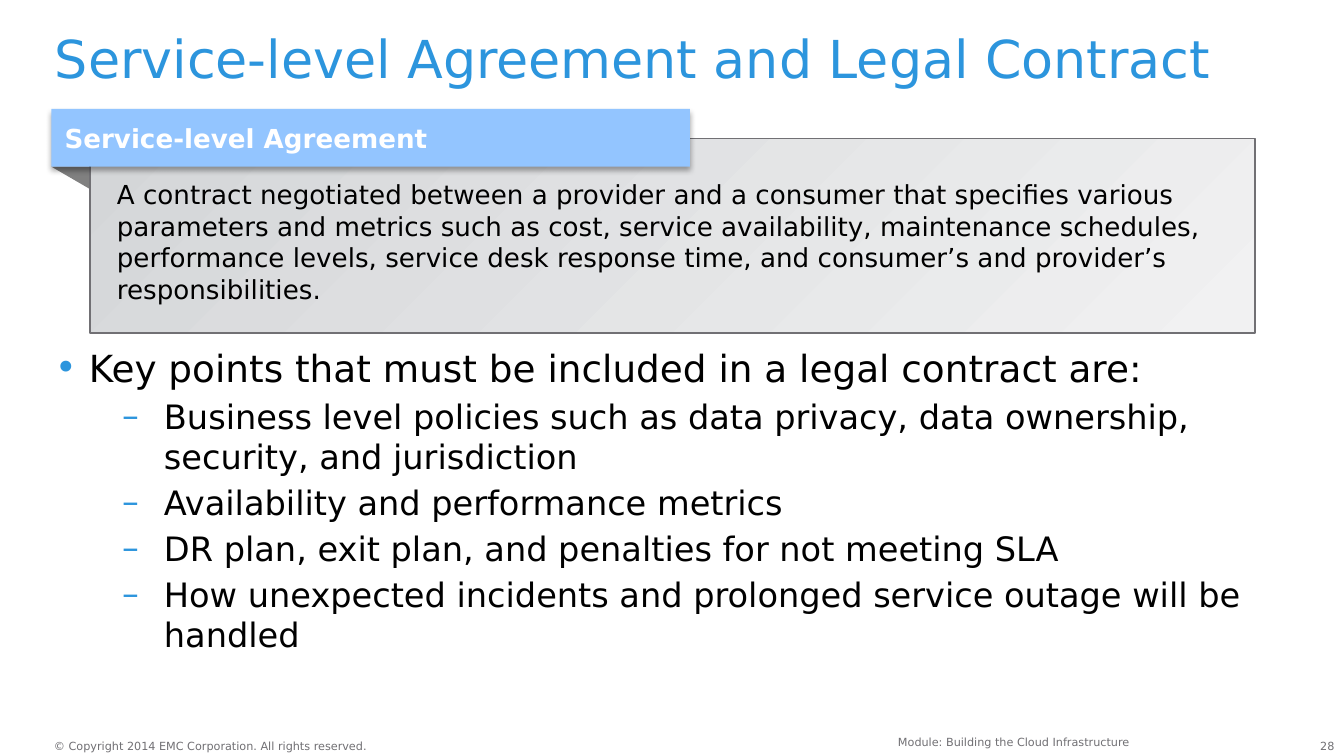
from lxml import etree
from pptx import Presentation
from pptx import util as u
from pptx.dml import color
from pptx.enum import shapes, text
from pptx.oxml import ns

FONT = "DejaVu Sans"
COLORS = {
    "blue": "2C95DD", "label": "93C5FF", "grey": "717074", "fold": "808080",
    "black": "000000", "white": "FFFFFF", "dark_end": "D4D6D8", "light_end": "F1F1F2",
}
KEY_POINTS = [
    "Business level policies such as data privacy, data ownership, security, and jurisdiction",
    "Availability and performance metrics",
    "DR plan, exit plan, and penalties for not meeting SLA",
    "How unexpected incidents and prolonged service outage will be handled",
]
DEFINITION = (
    "A contract negotiated between a provider and a consumer that specifies various "
    "parameters and metrics such as cost, service availability, maintenance schedules, "
    "performance levels, service desk response time, and consumer’s and provider’s "
    "responsibilities."
)


def rgb(name):
    return color.RGBColor.from_string(COLORS[name])


def add_element(parent, tag, **attributes):
    return etree.SubElement(parent, ns.qn(tag), attributes)


def style(para, size, tint, bold=False):
    para.font.name = FONT
    para.font.size = u.Pt(size)
    para.font.bold = bold
    para.font.color.rgb = rgb(tint)


def set_frame(shape, margins=(0, 0, 0, 0), anchor=text.MSO_ANCHOR.TOP):
    frame = shape.text_frame
    frame.word_wrap = True
    frame.vertical_anchor = anchor
    (frame.margin_left, frame.margin_top,
     frame.margin_right, frame.margin_bottom) = [u.Cm(m) for m in margins]
    return frame


def add_box(page, place, margins=(0, 0, 0, 0)):
    return set_frame(page.shapes.add_textbox(*[u.Cm(v) for v in place]), margins)


def add_line(page, place, words, size, tint, align=text.PP_ALIGN.LEFT, margins=(0, 0, 0, 0)):
    para = add_box(page, place, margins).paragraphs[0]
    para.text = words
    para.alignment = align
    style(para, size, tint)
    return para


def add_panel(page, place, words, size, tint, margins, anchor, bold=False):
    panel = page.shapes.add_shape(shapes.MSO_SHAPE.RECTANGLE, *[u.Cm(v) for v in place])
    panel.shadow.inherit = False
    para = set_frame(panel, margins, anchor).paragraphs[0]
    para.text = words
    para.alignment = text.PP_ALIGN.LEFT
    style(para, size, tint, bold)
    return panel


def add_fold(page, left, top, width, height):
    builder = page.shapes.build_freeform(u.Cm(left), u.Cm(top))
    builder.add_line_segments(
        [(u.Cm(left + width), u.Cm(top)), (u.Cm(left + width), u.Cm(top + height))])
    fold = builder.convert_to_shape()
    fold.shadow.inherit = False
    fold.fill.solid()
    fold.fill.fore_color.rgb = rgb("fold")
    fold.line.fill.background()


def add_drop_shadow(shape):
    effects = shape._element.spPr.find(ns.qn("a:effectLst"))
    shadow = add_element(effects, "a:outerShdw", blurRad=str(u.Pt(3.1)),
                         dist=str(u.Pt(1.8)), dir="5400000", rotWithShape="0")
    tint = add_element(shadow, "a:srgbClr", val=COLORS["black"])
    add_element(tint, "a:alpha", val="35000")


def add_bullet(para, words, mark, size, left, hanging, before=0):
    para.text = words
    props = para._p.get_or_add_pPr()
    props.set("marL", str(u.Cm(left)))
    props.set("indent", str(-u.Cm(hanging)))
    tint = add_element(props, "a:buClr")
    add_element(tint, "a:srgbClr", val=COLORS["blue"])
    add_element(props, "a:buFont", typeface=FONT)
    add_element(props, "a:buChar", char=mark)
    para.space_before = u.Pt(before)
    style(para, size, "black")


def main():
    deck = Presentation()
    deck.slide_width, deck.slide_height = u.Cm(25.4), u.Cm(14.29)
    page = deck.slides.add_slide(deck.slide_layouts[6])

    # Footer
    right = text.PP_ALIGN.RIGHT
    add_line(page, (24.43, 13.97, 0.79, 0.25), "28", 6, "grey", right)
    add_line(page, (1.02, 13.97, 6.4, 0.25),
             "© Copyright 2014 EMC Corporation. All rights reserved.", 6, "grey")
    add_line(page, (7.19, 13.77, 14.4, 0.38), "Module: Building the Cloud Infrastructure",
             6, "grey", right, (0.25, 0.13, 0.25, 0.13))

    # Title
    title = add_line(page, (1.04, 0.64, 23.5, 1.27),
                     "Service-level Agreement and Legal Contract", 28, "blue")
    title.line_spacing = 0.9

    # Key points
    frame = add_box(page, (1.04, 6.53, 23.5, 5.77))
    add_bullet(frame.paragraphs[0], "Key points that must be included in a legal contract are:",
               "•", 20, 0.64, 0.64)
    for point in KEY_POINTS:
        para = frame.add_paragraph()
        para.level = 1
        add_bullet(para, point, "–", 18, 2.06, 0.79, 3)

    # Definition panel with its folded label
    add_fold(page, 0.97, 3.15, 0.74, 0.43)
    panel = add_panel(page, (1.7, 2.62, 22.02, 3.68), DEFINITION, 14, "black",
                      (0.51, 0.76, 0.51, 0.13), text.MSO_ANCHOR.TOP)
    panel.fill.gradient()
    panel.fill.gradient_angle = 315
    for stop, name, position in zip(panel.fill.gradient_stops, ("dark_end", "light_end"), (0, 1)):
        stop.color.rgb = rgb(name)
        stop.position = position
    panel.line.color.rgb = rgb("grey")
    panel.line.width = u.Pt(1)

    label = add_panel(page, (0.97, 2.06, 12.07, 1.09), "Service-level Agreement", 14, "white",
                      (0.25, 0.13, 0.25, 0.13), text.MSO_ANCHOR.MIDDLE, bold=True)
    label.fill.solid()
    label.fill.fore_color.rgb = rgb("label")
    label.line.fill.background()
    add_drop_shadow(label)

    deck.save("out.pptx")


if __name__ == "__main__":
    main()
